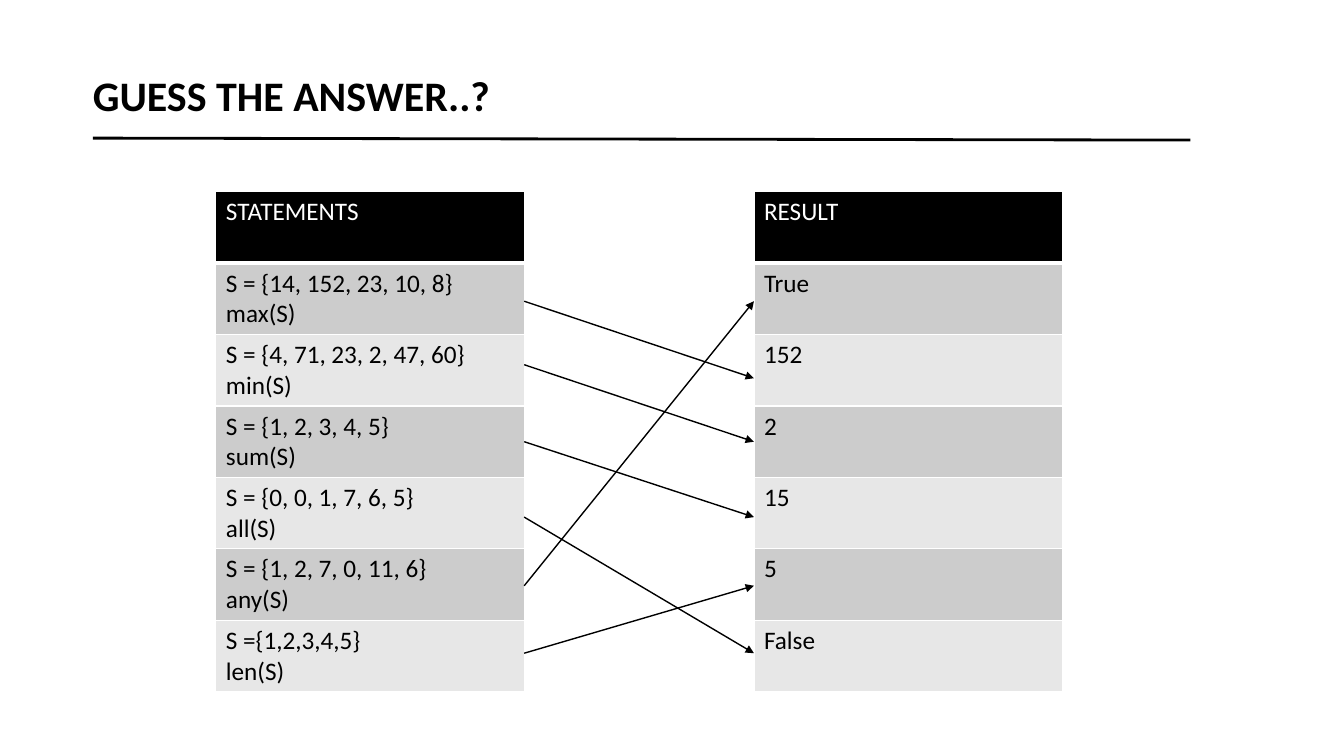
import pptx
import pptx.util
import pptx.dml.color
import pptx.enum.shapes
import pptx.enum.text
import pptx.oxml
import pptx.oxml.ns

Cm = pptx.util.Cm
Pt = pptx.util.Pt
RGB = pptx.dml.color.RGBColor.from_string

theme = {
    "font": "Calibri",
    "black": "000000",
    "white": "FFFFFF",
    "bands": ["CCCCCC", "E7E7E7"],
    "title_size": 30,
    "cell_size": 18,
}


def write(p, text, size, color, bold=False):
    r = p.add_run()
    r.text = text
    fmt = {"name": theme["font"], "size": Pt(size), "bold": bold}
    for key, value in fmt.items():
        setattr(r.font, key, value)
    r.font.color.rgb = RGB(color)


def line(x1, y1, x2, y2, width, arrow=False):
    c = s.shapes.add_connector(pptx.enum.shapes.MSO_CONNECTOR.STRAIGHT, Cm(x1), Cm(y1), Cm(x2), Cm(y2))
    c.line.color.rgb = RGB(theme["black"])
    c.line.width = Pt(width)
    if arrow:
        ln = c.line._get_or_add_ln()
        pptx.oxml.parse_xml(f'<a:tailEnd {pptx.oxml.ns.nsdecls("a")} type="triangle"/>')
        ln.append(pptx.oxml.parse_xml(f'<a:tailEnd {pptx.oxml.ns.nsdecls("a")} type="triangle"/>'))
    c._element.spPr.append(pptx.oxml.parse_xml(f'<a:effectLst {pptx.oxml.ns.nsdecls("a")}/>'))


prs = pptx.Presentation()
prs.slide_width = Cm(33.87)
prs.slide_height = Cm(19.05)
s = prs.slides.add_slide(prs.slide_layouts[6])

sp = s.shapes.add_textbox(Cm(2.34), Cm(1.6), Cm(29.2), Cm(1.75))
tf = sp.text_frame
frame = {
    "word_wrap": True,
    "vertical_anchor": pptx.enum.text.MSO_ANCHOR.MIDDLE,
    "margin_left": 0,
    "margin_right": 0,
    "margin_top": 0,
    "margin_bottom": 0,
}
for key, value in frame.items():
    setattr(tf, key, value)
p = tf.paragraphs[0]
p.line_spacing = 0.9
p.space_after = Pt(6)
write(p, "GUESS THE ANSWER..?", theme["title_size"], theme["black"], True)

line(2.34, 3.48, 30, 3.53, 2)

statements = [
    "STATEMENTS",
    "S = {14, 152, 23, 10, 8}\nmax(S)",
    "S = {4, 71, 23, 2, 47, 60}\nmin(S)",
    "S = {1, 2, 3, 4, 5}\nsum(S)",
    "S = {0, 0, 1, 7, 6, 5}\nall(S)",
    "S = {1, 2, 7, 0, 11, 6}\nany(S)",
    "S ={1,2,3,4,5}\nlen(S)",
]
results = ["RESULT", "True", "152", "2", "15", "5", "False"]

table_top, table_width, row_height = 4.83, 7.77, 1.8
statements_left, results_left = 5.44, 19

for left, entries in [(statements_left, statements), (results_left, results)]:
    rows = len(entries)
    tbl = s.shapes.add_table(rows, 1, Cm(left), Cm(table_top), Cm(table_width), Cm(row_height * rows)).table
    tbl.first_row = False
    tbl.horz_banding = False
    for i, entry in enumerate(entries):
        tbl.rows[i].height = Cm(row_height)
        cell = tbl.cell(i, 0)
        tcPr = cell._tc.get_or_add_tcPr()
        widths = {"lnL": 1, "lnR": 1, "lnT": 3 if i == 1 else 1, "lnB": 3 if i == 0 else 1}
        for side, width in widths.items():
            tcPr.append(pptx.oxml.parse_xml(
                f'<a:{side} {pptx.oxml.ns.nsdecls("a")} w="{Pt(width)}"><a:solidFill>'
                f'<a:srgbClr val="{theme["white"]}"/></a:solidFill></a:{side}>'))
        cell.fill.solid()
        cell.fill.fore_color.rgb = RGB(theme["bands"][(i - 1) % 2] if i else theme["black"])
        tf = cell.text_frame
        for n, text in enumerate(entry.split("\n")):
            p = tf.add_paragraph() if n else tf.paragraphs[0]
            write(p, text, theme["cell_size"], theme["black"] if i else theme["white"])

matches = [
    (7.59, 9.53),
    (9.19, 11.13),
    (11.13, 13.03),
    (13.03, 16.46),
    (14.76, 7.59),
    (16.46, 14.76),
]
for start, end in matches:
    line(statements_left + table_width, start, results_left, end, 1, True)

prs.save("out.pptx")
